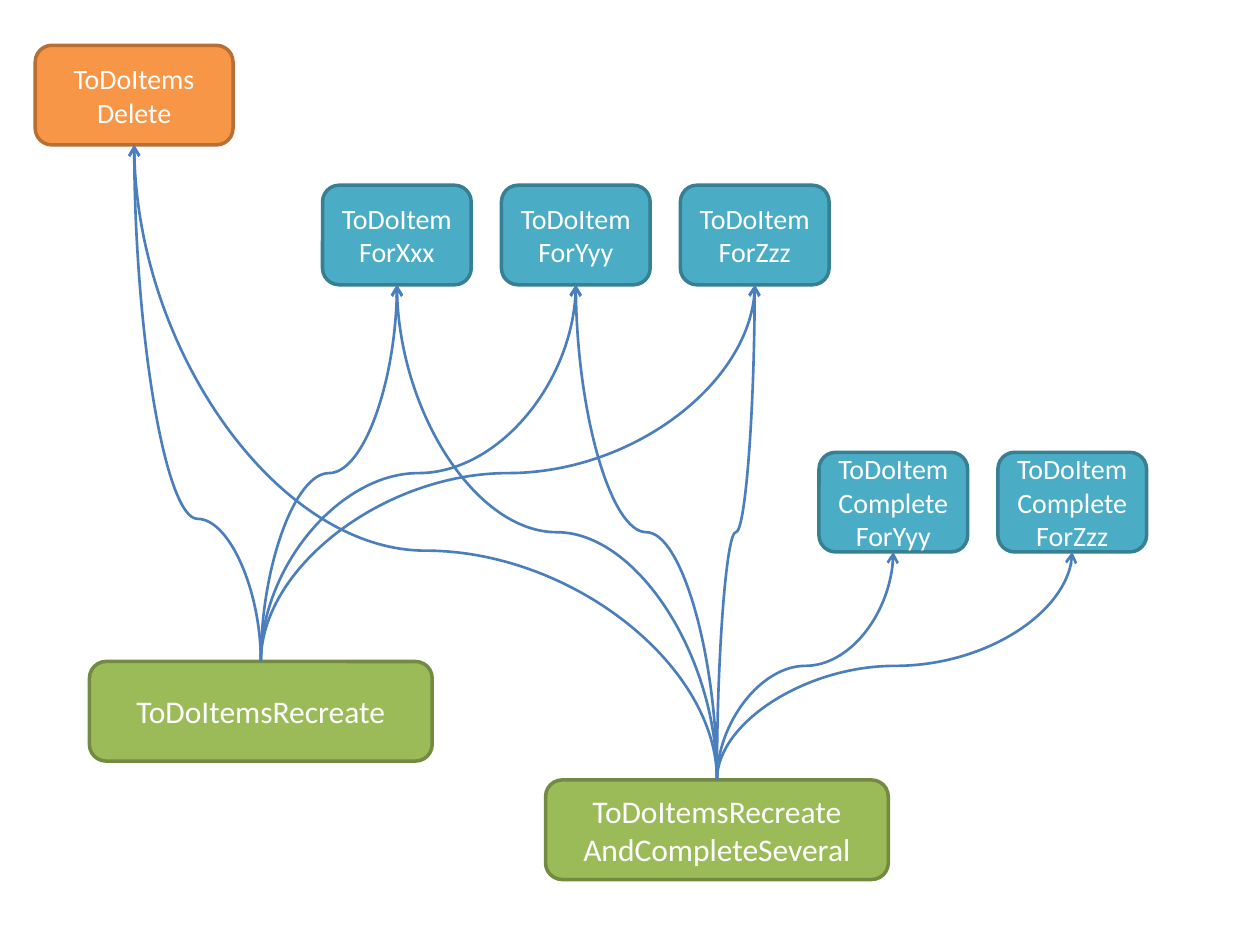
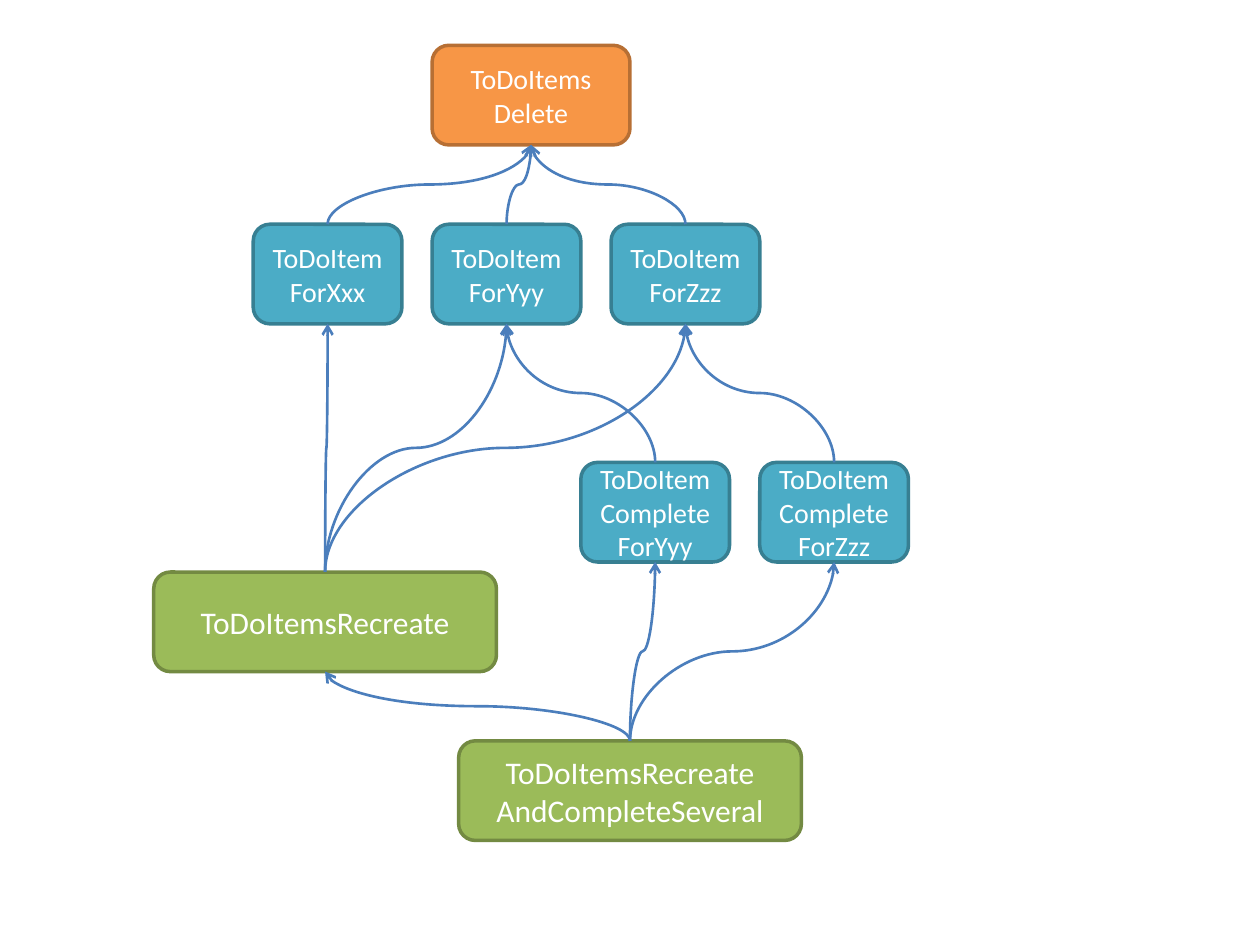
import pptx
import pptx.dml.color
import pptx.enum.shapes
import pptx.enum.text
import pptx.oxml
import pptx.oxml.ns
import pptx.util
import lxml.etree

Inches = pptx.util.Inches
Pt = pptx.util.Pt

BOX_HEIGHT = 0.79
ITEM_PITCH = 1.42
ARROW_COLOUR = "4B7EBC"
TOP, BOTTOM = 0, 2

STYLES = {
    "delete": {"width": 1.57, "fill": "F79646", "line": "B76F34", "size": 16},
    "item": {"width": 1.18, "fill": "4BACC6", "line": "377F92", "size": 16},
    "recreate": {"width": 2.72, "fill": "9BBB59", "line": "738A42", "size": 18},
}

BOXES = {
    "delete": ("delete", ["ToDoItems", "Delete"]),
    "xxx": ("item", ["ToDoItem", "ForXxx"]),
    "recreate": ("recreate", ["ToDoItemsRecreate"]),
    "several": ("recreate", ["ToDoItemsRecreate AndCompleteSeveral"]),
    "yyy": ("item", ["ToDoItem ForYyy"]),
    "zzz": ("item", ["ToDoItem ForZzz"]),
    "complete zzz": ("item", ["ToDoItem", "Complete", "ForZzz"]),
    "complete yyy": ("item", ["ToDoItem", "Complete ForYyy"]),
}

DIAGRAMS = [
    {
        "delete": (0.28, 0.36),
        "items": (2.56, 1.47),
        "completes": (6.5, 3.59),
        "recreate": (0.71, 5.25),
        "several": (4.33, 6.19),
        "calls": [
            ("recreate", ["delete", "xxx", "yyy", "zzz"]),
            ("several", ["xxx", "complete yyy", "complete zzz", "delete", "yyy", "zzz"]),
        ],
        "bends": {("recreate", "delete"): 0.276, ("several", "delete"): 0.361},
    },
    {
        "delete": (3.43, 0.36),
        "items": (2.01, 1.78),
        "completes": (4.61, 3.67),
        "recreate": (1.22, 4.54),
        "several": (3.64, 5.88),
        "calls": [
            ("yyy", ["delete"]),
            ("xxx", ["delete"]),
            ("zzz", ["delete"]),
            ("complete zzz", ["zzz"]),
            ("complete yyy", ["yyy"]),
            ("recreate", ["xxx", "yyy", "zzz"]),
            ("several", ["recreate", "complete yyy", "complete zzz"]),
        ],
        "bends": {},
    },
]


def colour(hex_value):
    return pptx.dml.color.RGBColor.from_string(hex_value)


def curved_arrow(slide, caller, callee, bend):
    start_x, start_y = caller.left + caller.width // 2, caller.top
    end_x, end_y = callee.left + callee.width // 2, callee.top + callee.height
    arrow = slide.shapes.add_connector(
        pptx.enum.shapes.MSO_CONNECTOR.CURVE, start_x, start_y, end_x, end_y)
    arrow.begin_connect(caller, TOP)
    arrow.end_connect(callee, BOTTOM)

    rise, shift = start_y - end_y, abs(end_x - start_x)
    arrow.left = (start_x + end_x - rise) // 2
    arrow.top = (start_y + end_y - shift) // 2
    arrow.width, arrow.height = rise, shift
    rightward = end_x > start_x
    properties = arrow._element.spPr
    frame = properties.find(pptx.oxml.ns.qn("a:xfrm"))
    frame.set("rot", str((90 if rightward else 270) * 60000))
    frame.set("flipH", "1" if rightward else "0")
    frame.set("flipV", "1")

    geometry = properties.find(pptx.oxml.ns.qn("a:prstGeom"))
    adjustments = geometry.find(pptx.oxml.ns.qn("a:avLst"))
    if adjustments is None:
        adjustments = lxml.etree.SubElement(geometry, pptx.oxml.ns.qn("a:avLst"))
    lxml.etree.SubElement(adjustments, pptx.oxml.ns.qn("a:gd"),
                          name="adj1", fmla=f"val {round(bend * 100000)}")

    arrow.line.color.rgb = colour(ARROW_COLOUR)
    arrow.line.width = Pt(1.5)
    lxml.etree.SubElement(arrow.line._get_or_add_ln(),
                          pptx.oxml.ns.qn("a:tailEnd"), type="arrow")
    lxml.etree.SubElement(properties, pptx.oxml.ns.qn("a:effectLst"))


deck = pptx.Presentation()
deck.slide_width, deck.slide_height = Inches(10), Inches(7.5)

for diagram in DIAGRAMS:
    slide = deck.slides.add_slide(deck.slide_layouts[6])

    places = {name: diagram[name] for name in ("delete", "recreate", "several")}
    for row, names in [("items", ["xxx", "yyy", "zzz"]),
                       ("completes", ["complete yyy", "complete zzz"])]:
        left, top = diagram[row]
        for column, name in enumerate(names):
            places[name] = (left + column * ITEM_PITCH, top)

    commands = {}
    for name, (kind, lines) in BOXES.items():
        style = STYLES[kind]
        left, top = places[name]
        box = slide.shapes.add_shape(
            pptx.enum.shapes.MSO_SHAPE.ROUNDED_RECTANGLE,
            Inches(left), Inches(top), Inches(style["width"]), Inches(BOX_HEIGHT))
        box.shadow.inherit = False
        box.fill.solid()
        box.fill.fore_color.rgb = colour(style["fill"])
        box.line.color.rgb = colour(style["line"])
        box.line.width = Pt(2)
        box.text_frame.word_wrap = True
        box.text_frame.vertical_anchor = pptx.enum.text.MSO_ANCHOR.MIDDLE
        label = box.text_frame.paragraphs[0]
        label.alignment = pptx.enum.text.PP_ALIGN.CENTER
        for number, line in enumerate(lines):
            if number:
                label.add_line_break()
            run = label.add_run()
            run.text = line
            run.font.name = "Calibri"
            run.font.size = Pt(style["size"])
            run.font.color.rgb = colour("FFFFFF")
        commands[name] = box

    for caller, callees in diagram["calls"]:
        for callee in callees:
            bend = diagram["bends"].get((caller, callee), 0.5)
            curved_arrow(slide, commands[caller], commands[callee], bend)

deck.save("out.pptx")
